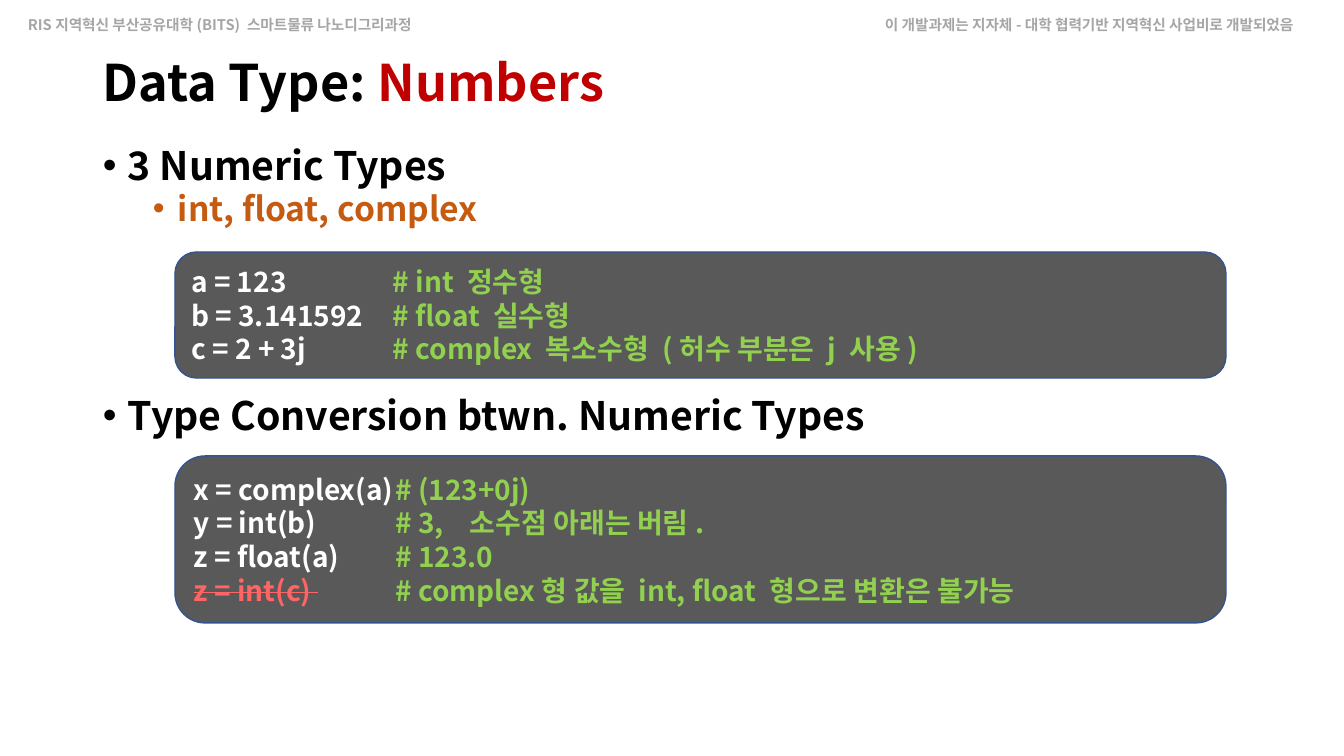
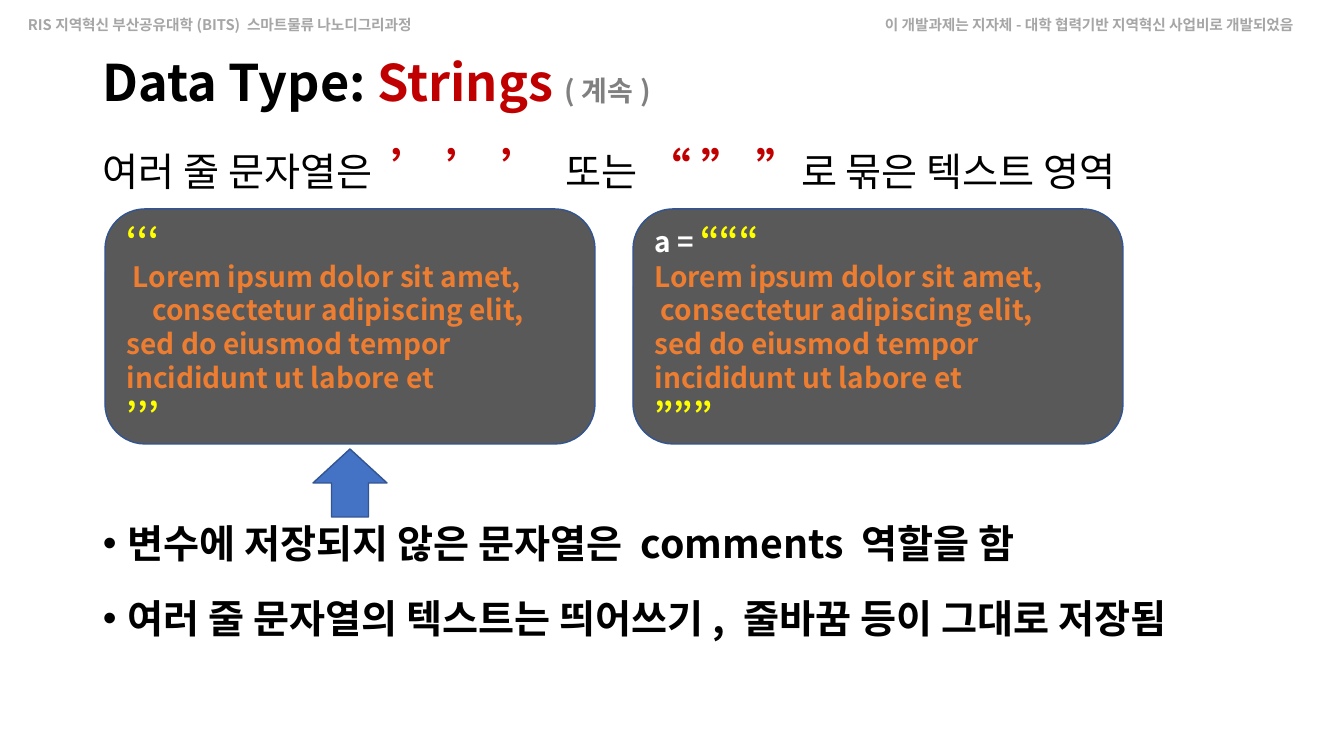
from lxml import etree
from pptx import Presentation, util as u
from pptx.dml.color import RGBColor
from pptx.enum import shapes, text
from pptx.oxml.ns import qn

PX = 914400 / 100.8
FONT = "Noto Sans CJK KR"
BLACK, WHITE, GREY, MUTED = "000000", "FFFFFF", "808080", "A6A6A6"
RED, ORANGE, RUST, YELLOW = "C00000", "ED7D31", "C55A11", "FFFF00"
GREEN, CORAL, PANEL, OUTLINE, BLUE = "92D050", "FF6565", "595959", "325491", "4472C4"
HEADERS = [
    (18, 428, "RIS지역혁신 부산공유대학(BITS) 스마트물류 나노디그리과정"),
    (875, 460, "이 개발과제는 지자체-대학 협력기반 지역혁신 사업비로 개발되었음"),
]


def px(length):
    return u.Emu(round(length * PX))


def colour(value):
    return RGBColor.from_string(value)


class Lesson:
    def __init__(self):
        self.deck = Presentation()
        self.deck.slide_width, self.deck.slide_height = px(1344), px(756)
        self.page = None

    def new_page(self, *title):
        """Start a page with the running headers and a title made of runs."""
        self.page = self.deck.slides.add_slide(self.deck.slide_layouts[6])
        for left, width, words in HEADERS:
            frame = self.text_box(left, 11, width, 28)
            self.runs(frame.paragraphs[0], [(words, MUTED)], 10.5)
        frame = self.text_box(93, 40, 1159, 91)
        frame.vertical_anchor = text.MSO_ANCHOR.MIDDLE
        frame.paragraphs[0].line_spacing = 0.9
        self.runs(frame.paragraphs[0], title, 36)

    def text_box(self, left, top, width, height):
        box = self.page.shapes.add_textbox(px(left), px(top), px(width), px(height))
        box.text_frame.word_wrap = True
        return box.text_frame

    def runs(self, para, parts, size, bold=True):
        """Add (words, colour, own size, own weight, strike) parts as runs."""
        for words, ink, *extra in parts:
            own_size, own_bold, strike = (extra + [None] * 3)[:3]
            span = para.add_run()
            span.text = words
            span.font.size = u.Pt(own_size or size)
            span.font.bold = bold if own_bold is None else own_bold
            span.font.color.rgb = colour(ink)
            span.font.name = FONT
            props = span.font._element
            etree.SubElement(props, qn("a:ea"), typeface=FONT)
            if strike:
                props.set("strike", "sngStrike")

    def statement(self, top, parts, size):
        frame = self.text_box(93, top, 1218, 70)
        self.runs(frame.paragraphs[0], parts, size, bold=False)

    def bullets(self, top, items, gap=0):
        """Add (level, words, colour) items, gap points apart."""
        frame = self.text_box(93, top, 1218, 57 * len(items) + 10)
        for index, (level, words, ink) in enumerate(items):
            para = frame.add_paragraph() if index else frame.paragraphs[0]
            props = para._p.get_or_add_pPr()
            props.set("marL", str(px(25 + 50 * level)))
            props.set("indent", str(px(-25)))
            etree.SubElement(props, qn("a:buFont"), typeface="Arial")
            etree.SubElement(props, qn("a:buChar"), char="•")
            para.level = level
            para.space_before = u.Pt(gap if index else 0)
            self.runs(para, [(words, ink)], 28 - 4 * level)

    def shape(self, kind, left, top, width, height, fill):
        shape = self.page.shapes.add_shape(kind, px(left), px(top), px(width), px(height))
        shape.shadow.inherit = False
        shape.fill.solid()
        shape.fill.fore_color.rgb = colour(fill)
        shape.line.color.rgb = colour(OUTLINE)
        shape.line.width = u.Pt(1)
        return shape

    def code(self, left, top, width, height, lines, corner=0.17):
        panel = self.shape(shapes.MSO_SHAPE.ROUNDED_RECTANGLE, left, top, width, height, PANEL)
        panel.adjustments[0] = corner
        frame = panel.text_frame
        frame.vertical_anchor = text.MSO_ANCHOR.MIDDLE
        for index, parts in enumerate(lines):
            para = frame.add_paragraph() if index else frame.paragraphs[0]
            para.alignment = text.PP_ALIGN.LEFT
            tabs = etree.SubElement(para._p.get_or_add_pPr(), qn("a:tabLst"))
            etree.SubElement(tabs, qn("a:tab"), pos=str(u.Inches(2)), algn="l")
            self.runs(para, parts, 20)

    def up_arrow(self, left, top, width, height):
        self.shape(shapes.MSO_SHAPE.UP_ARROW, left, top, width, height, BLUE)


def numbers(lesson):
    lesson.new_page(("Data Type: ", BLACK), ("Numbers", RED))
    lesson.bullets(136, [(0, "3 Numeric Types", BLACK), (1, "int, float, complex", RUST)])
    lesson.bullets(386, [(0, "Type Conversion btwn. Numeric Types", BLACK)])
    lesson.code(175, 252, 1051, 126, [
        [("a = 123\t", WHITE), ("# int 정수형", GREEN)],
        [("b = 3.141592\t", WHITE), ("# float 실수형", GREEN)],
        [("c = 2 + 3j\t", WHITE), ("# complex 복소수형 (허수 부분은 j 사용)", GREEN)],
    ])
    lesson.code(175, 456, 1051, 167, [
        [("x = complex(a)\t", WHITE), ("# (123+0j)", GREEN)],
        [("y = int(b)\t", WHITE), ("# 3,   소수점 아래는 버림.", GREEN)],
        [("z = float(a)\t", WHITE), ("# 123.0", GREEN)],
        [("z = int(c) ", CORAL, 20, True, True), ("\t", WHITE),
         ("# complex형 값을 int, float 형으로 변환은 불가능", GREEN)],
    ], corner=0.18)


def strings(lesson):
    lesson.new_page(("Data Type: ", BLACK), ("Strings ", RED), ("(계속)", GREY, 20))
    lesson.statement(137, [
        ("여러 줄 문자열은 ", BLACK), (" ’ ’ ’ ", RED, 32, True), (" 또는 ", BLACK),
        ("“ ” ”", RED, 32, True), ("로 묶은 텍스트 영역", BLACK),
    ], 28)
    samples = [
        ([("‘‘‘", YELLOW, 24)], " Lorem ipsum dolor sit amet,",
         "    consectetur adipiscing elit,", "’’’"),
        ([("a = ", WHITE), ("“““", YELLOW, 24)], "Lorem ipsum dolor sit amet,",
         " consectetur adipiscing elit,", "”””"),
    ]
    for column, (opening, first, second, closing) in enumerate(samples):
        verse = [first, second, "sed do eiusmod tempor", "incididunt ut labore et"]
        lines = [opening, *([(line, ORANGE)] for line in verse), [(closing, YELLOW, 24)]]
        lesson.code(105 + 528 * column, 209, 490, 235, lines)
    lesson.up_arrow(313, 449, 74, 68)
    lesson.bullets(514, [
        (0, "변수에 저장되지 않은 문자열은 comments 역할을 함", BLACK),
        (0, "여러 줄 문자열의 텍스트는 띄어쓰기, 줄바꿈 등이 그대로 저장됨", BLACK),
    ], gap=20)


def main():
    lesson = Lesson()
    numbers(lesson)
    strings(lesson)
    lesson.deck.save("out.pptx")


if __name__ == "__main__":
    main()
